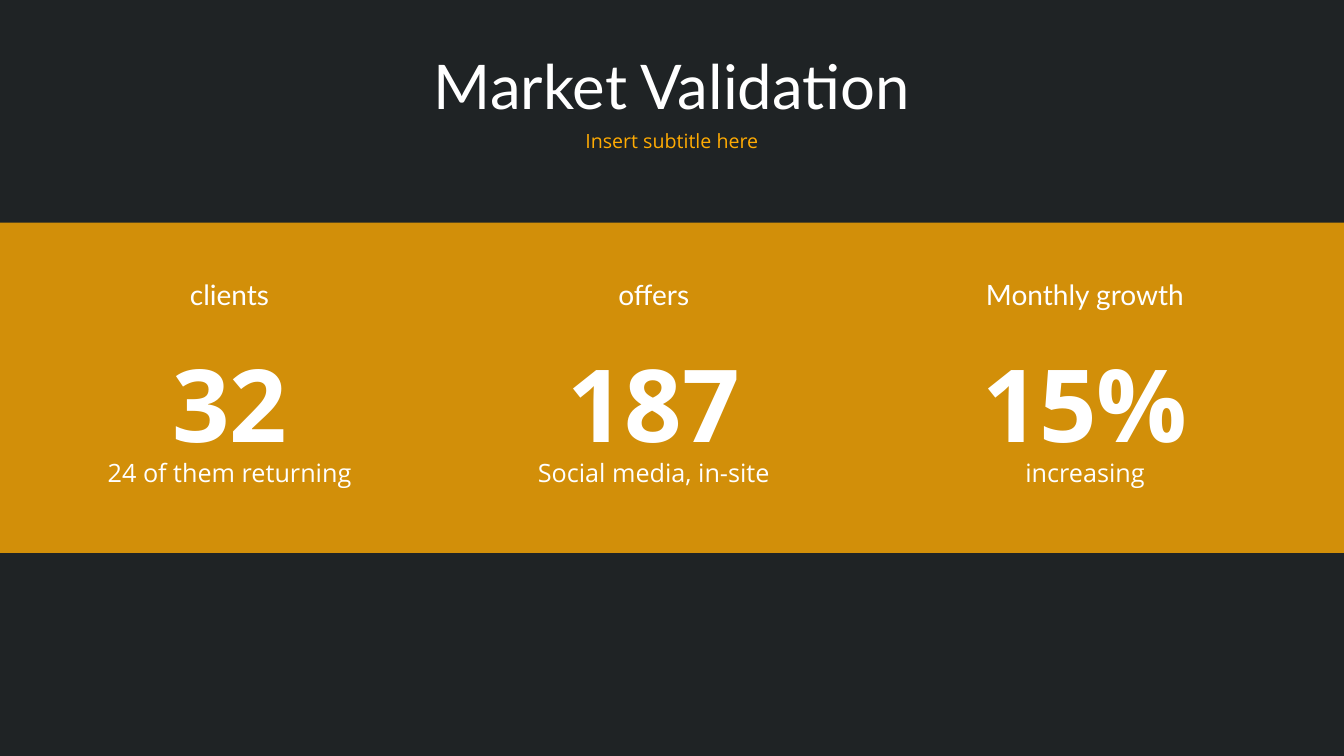
"""Build the Market Validation slide with three key figures on an amber band."""
from lxml import etree
from pptx import Presentation
from pptx.dml.color import RGBColor
from pptx.enum import shapes, text
from pptx.oxml import ns
from pptx.util import Pt

WHITE = RGBColor(0xFF, 0xFF, 0xFF)
AMBER = RGBColor(0xFF, 0xAB, 0x03)
INK = RGBColor(0x18, 0x1E, 0x20)
GREY = RGBColor(0x3F, 0x3F, 0x3F)
WIDTH, HEIGHT = 960, 540

deck = Presentation()
deck.slide_width, deck.slide_height = Pt(WIDTH), Pt(HEIGHT)
slide = deck.slides.add_slide(deck.slide_layouts[5])
slide.background.fill.solid()
slide.background.fill.fore_color.rgb = GREY


def add_panel(top, height, color, opacity):
    panel = slide.shapes.add_shape(
        shapes.MSO_SHAPE.RECTANGLE, 0, Pt(top), Pt(WIDTH), Pt(height))
    panel.shadow.inherit = False
    panel.line.fill.background()
    panel.fill.solid()
    panel.fill.fore_color.rgb = color
    tint = panel.fill._xPr.find(".//" + ns.qn("a:srgbClr"))
    etree.SubElement(tint, ns.qn("a:alpha"), val=str(opacity * 1000))


def write(box, wording, font, size, color=WHITE, bold=False, spacing=1.0,
          anchor=text.MSO_ANCHOR.TOP):
    frame = box.text_frame
    frame.text = wording
    frame.word_wrap = True
    frame.auto_size = text.MSO_AUTO_SIZE.NONE
    frame.vertical_anchor = anchor
    line = frame.paragraphs[0]
    line.alignment = text.PP_ALIGN.CENTER
    line.line_spacing = spacing
    style = line.runs[0].font
    style.name, style.size, style.bold = font, Pt(size), bold
    style.color.rgb = color
    return line


add_panel(0, HEIGHT, INK, 82)
add_panel(159, 236, AMBER, 80)

title = slide.shapes.title
title.left, title.top, title.width, title.height = Pt(66), Pt(29), Pt(828), Pt(70.5)
write(title, "Market Validation", "Lato", 44, spacing=0.9,
      anchor=text.MSO_ANCHOR.MIDDLE)
slide.shapes._spTree.append(title._element)

subtitle = slide.shapes.add_textbox(Pt(66), Pt(90.5), Pt(828), Pt(29))
subtitle_line = write(subtitle, "Insert subtitle here", "Open Sans", 14, AMBER,
                      spacing=0.9)
subtitle_line.space_before = Pt(10)

metrics = [
    (164, "clients", "32", "24 of them returning"),
    (467, "offers", "187", "Social media, in-site"),
    (775, "Monthly growth", "15%", "increasing"),
]
for center, label, figure, detail in metrics:
    label_box = slide.shapes.add_textbox(Pt(center - 140), Pt(192), Pt(280), Pt(37))
    write(label_box, label, "Lato", 20, anchor=text.MSO_ANCHOR.MIDDLE)
    figure_box = slide.shapes.add_textbox(Pt(center - 106), Pt(197), Pt(212), Pt(124))
    write(figure_box, figure, "Open Sans", 72, bold=True, spacing=1.5)
    detail_box = slide.shapes.add_textbox(Pt(center - 106), Pt(312), Pt(212), Pt(40))
    write(detail_box, detail, "Open Sans", 18, spacing=1.5)

deck.save("out.pptx")
